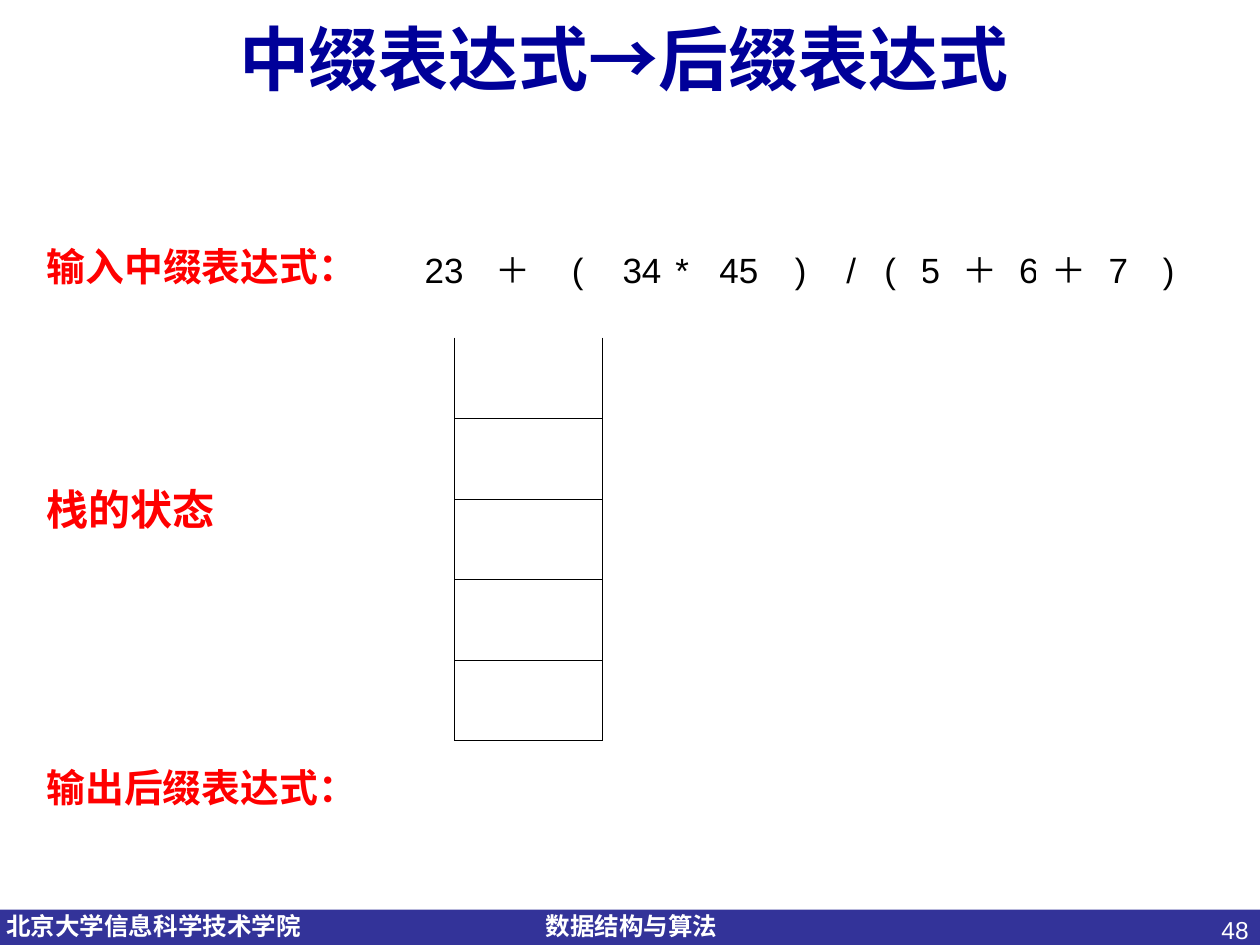
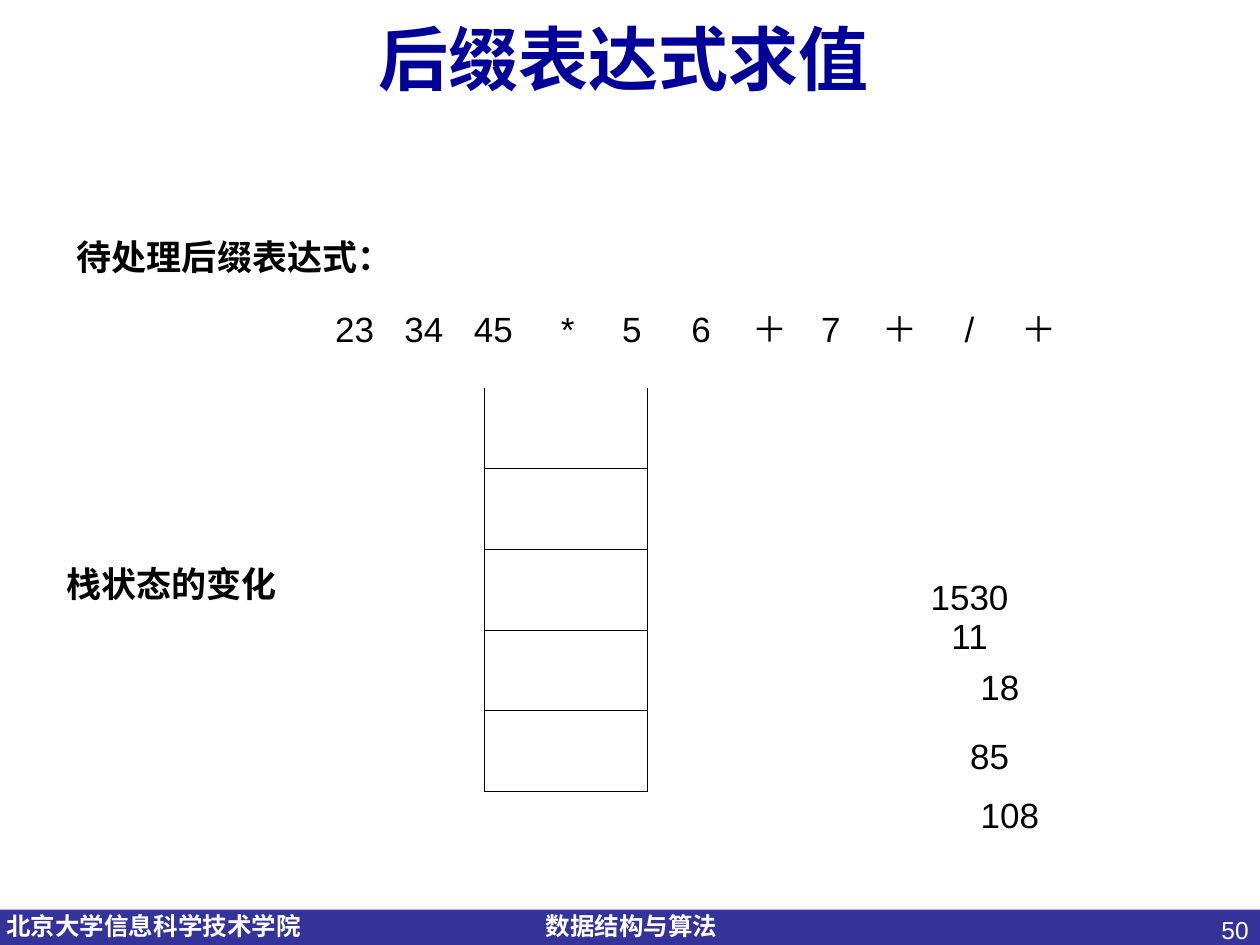
from lxml.etree import SubElement
from pptx import Presentation
from pptx.dml.color import RGBColor
from pptx.enum.shapes import MSO_SHAPE
from pptx.enum.text import MSO_ANCHOR, MSO_AUTO_SIZE, PP_ALIGN
from pptx.oxml.ns import qn
from pptx.util import Inches, Pt

NAVY = RGBColor(0x00, 0x00, 0x99)
INDIGO = RGBColor(0x33, 0x33, 0x99)
RED = RGBColor(0xFF, 0x00, 0x00)
BLACK = RGBColor(0x00, 0x00, 0x00)
WHITE = RGBColor(0xFF, 0xFF, 0xFF)
SANS = "Arial"
SERIF = "Times New Roman"
CJK = "Noto Sans CJK SC"

TOKEN_PITCH = 0.55
STACK_LEVELS = 5
LEVEL_HEIGHT = 0.64


def write(frame, text, size=20, font=SANS, color=BLACK, bold=False,
          align=PP_ALIGN.LEFT, anchor=MSO_ANCHOR.TOP, wrap=True,
          spacing=1.0, inset_left=0.1, inset_right=0.1):
    frame.auto_size = MSO_AUTO_SIZE.NONE
    frame.word_wrap = wrap
    frame.vertical_anchor = anchor
    frame.margin_left, frame.margin_right = Inches(inset_left), Inches(inset_right)
    frame.margin_top = frame.margin_bottom = Inches(0.05)
    paragraph = frame.paragraphs[0]
    properties = paragraph._p.get_or_add_pPr()
    properties.set("marL", "0")
    properties.set("indent", "0")
    SubElement(properties, qn("a:buNone"))
    paragraph.alignment = align
    paragraph.line_spacing = spacing
    paragraph.space_before = Pt(0)
    run = paragraph.add_run()
    run.text = text
    run.font.size = Pt(size)
    run.font.name = font
    run.font.bold = bold
    run.font.color.rgb = color
    SubElement(run._r.get_or_add_rPr(), qn("a:ea")).set("typeface", CJK)


def place(shape, left, top, width, height):
    shape.left, shape.top = Inches(left), Inches(top)
    shape.width, shape.height = Inches(width), Inches(height)


def add_text(slide, text, left, top, width, height, **style):
    box = slide.shapes.add_textbox(Inches(left), Inches(top),
                                   Inches(width), Inches(height))
    write(box.text_frame, text, **style)


def add_rect(slide, left, top, width, height, color):
    rect = slide.shapes.add_shape(MSO_SHAPE.RECTANGLE, Inches(left), Inches(top),
                                  Inches(width), Inches(height))
    rect.shadow.inherit = False
    rect.fill.solid()
    rect.fill.fore_color.rgb = color
    rect.line.color.rgb = color
    rect.line.width = Pt(0.75)
    return rect


def add_footer(slide, number):
    band = add_rect(slide, 0, 7.22, 10, 0.28, INDIGO)
    band.line.fill.background()
    for text, left, width in (("北京大学信息科学技术学院", 0.05, 2.44),
                              ("数据结构与算法", 4.33, 1.46)):
        add_text(slide, text, left, 7.18, width, 0.34, size=14, color=WHITE,
                 bold=True, wrap=False, inset_left=0)
    add_text(slide, str(number), 7.68, 7.21, 2.33, 0.52, size=14, color=WHITE,
             align=PP_ALIGN.RIGHT)


def add_slide(deck, number, title, label, label_box, **label_style):
    slide = deck.slides.add_slide(deck.slide_layouts[1])
    add_footer(slide, number)
    heading, body = slide.shapes.title, slide.placeholders[1]
    place(heading, 0, 0, 10, 0.91)
    write(heading.text_frame, title, size=40, font=CJK, color=NAVY, bold=True,
          align=PP_ALIGN.CENTER, anchor=MSO_ANCHOR.MIDDLE,
          inset_left=0.2, inset_right=0.3)
    place(body, *label_box)
    write(body.text_frame, label, **label_style)
    return slide


def add_token(slide, text, left, top):
    token = add_rect(slide, left, top, 0.51, 0.39, WHITE)
    write(token.text_frame, text, align=PP_ALIGN.CENTER,
          anchor=MSO_ANCHOR.MIDDLE, wrap=False)


def set_border(cell, side, visible):
    line = SubElement(cell._tc.get_or_add_tcPr(), qn(f"a:ln{side}"))
    line.set("w", str(Pt(0.45)))
    if visible:
        fill = SubElement(line, qn("a:solidFill"))
        SubElement(fill, qn("a:srgbClr")).set("val", str(BLACK))
    else:
        SubElement(line, qn("a:noFill"))


def add_stack(slide, left, top, width):
    stack = slide.shapes.add_table(
        STACK_LEVELS, 1, Inches(left), Inches(top), Inches(width),
        Inches(STACK_LEVELS * LEVEL_HEIGHT)).table
    stack.first_row = stack.horz_banding = False
    for level in range(STACK_LEVELS):
        cell = stack.cell(level, 0)
        for side in "LRTB":
            set_border(cell, side, side != "T" or level > 0)
        cell.fill.background()


def build_conversion(deck):
    label = {"size": 22.2, "font": SERIF, "color": RED, "bold": True}
    slide = add_slide(deck, 48, "中缀表达式→后缀表达式", "输入中缀表达式：",
                      (0.27, 1.78, 2.91, 0.63), spacing=1.25, **label)
    add_text(slide, "输出后缀表达式：", 0.27, 6.11, 3.14, 0.63,
             spacing=0.7, **label)
    add_text(slide, "栈的状态", 0.27, 3.83, 2.16, 0.63,
             spacing=0.9, **{**label, "size": 24})
    infix_tokens = (
        ("23", 3.27), ("/", 6.5), ("45", 5.61), ("5", 7.13), ("6", 7.91),
        ("7", 8.62), ("*", 5.16), ("＋", 8.23), ("＋", 3.82), ("＋", 7.52),
        ("(", 6.81), (")", 9.02), ("(", 4.33), (")", 6.1), ("34", 4.84))
    for text, left in infix_tokens:
        add_token(slide, text, left, 1.94)
    add_stack(slide, 3.61, 2.68, 1.17)


def build_evaluation(deck):
    label = {"font": SERIF, "bold": True, "spacing": 1.35}
    slide = add_slide(deck, 50, "后缀表达式求值", "待处理后缀表达式：",
                      (0.51, 1.7, 3.54, 0.63), **label)
    postfix_groups = ((2.56, "23 34 45"), (4.25, "*"),
                      (4.76, "5 6 ＋"), (6.34, "7 ＋ / ＋"))
    for start, group in postfix_groups:
        for index, text in enumerate(group.split()):
            add_token(slide, text, start + index * TOKEN_PITCH, 2.41)
    add_stack(slide, 3.84, 3.08, 1.3)
    add_text(slide, "栈状态的变化", 0.43, 4.3, 2.44, 0.63, **label)
    results = (("1530", 7.44, 4.54), ("11", 7.44, 4.85), ("18", 7.68, 5.25),
               ("85", 7.6, 5.8), ("108", 7.76, 6.27))
    for text, left, top in results:
        add_token(slide, text, left, top)


def main():
    deck = Presentation()
    deck.slide_width, deck.slide_height = Inches(10), Inches(7.5)
    build_conversion(deck)
    build_evaluation(deck)
    deck.save("out.pptx")


if __name__ == "__main__":
    main()
